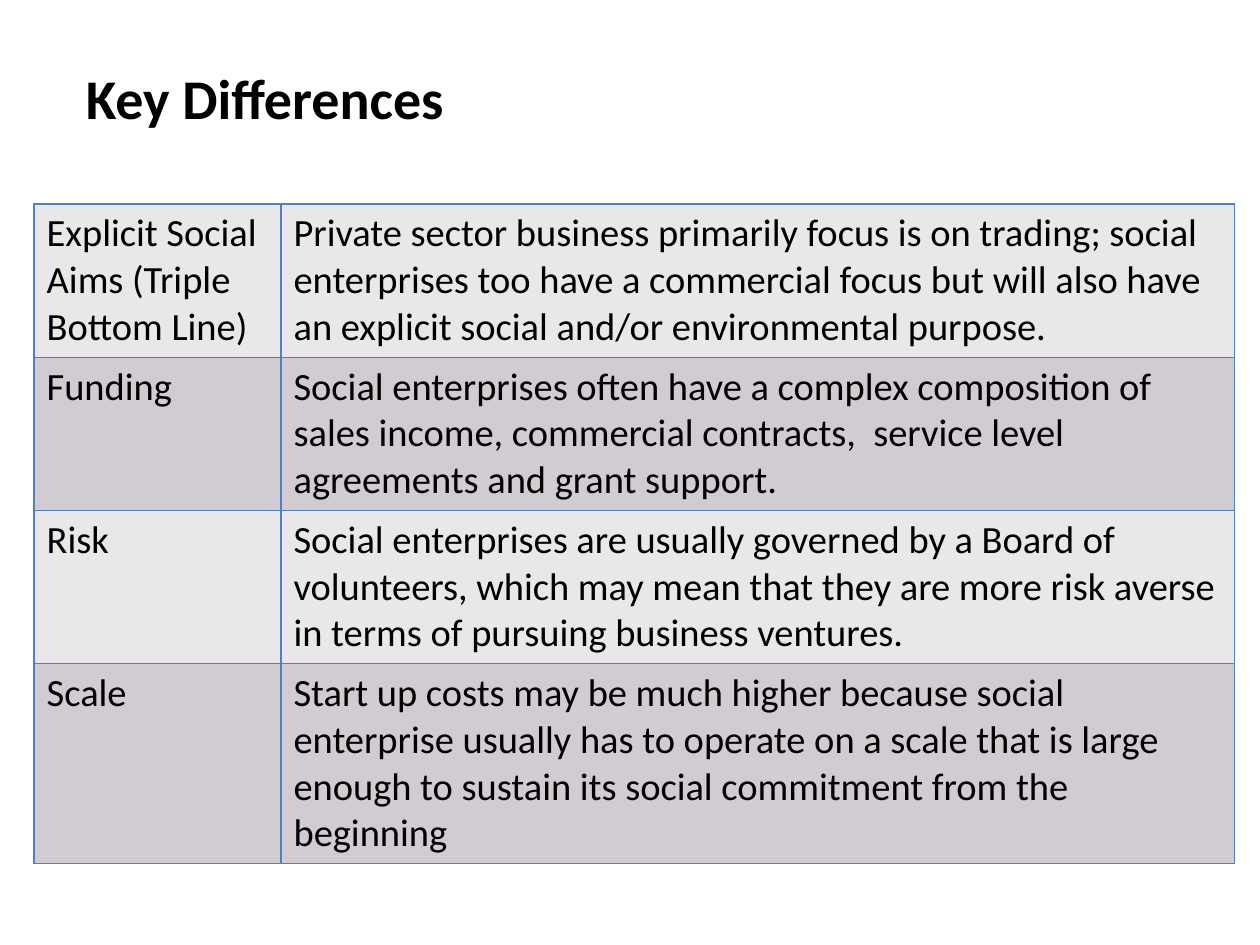
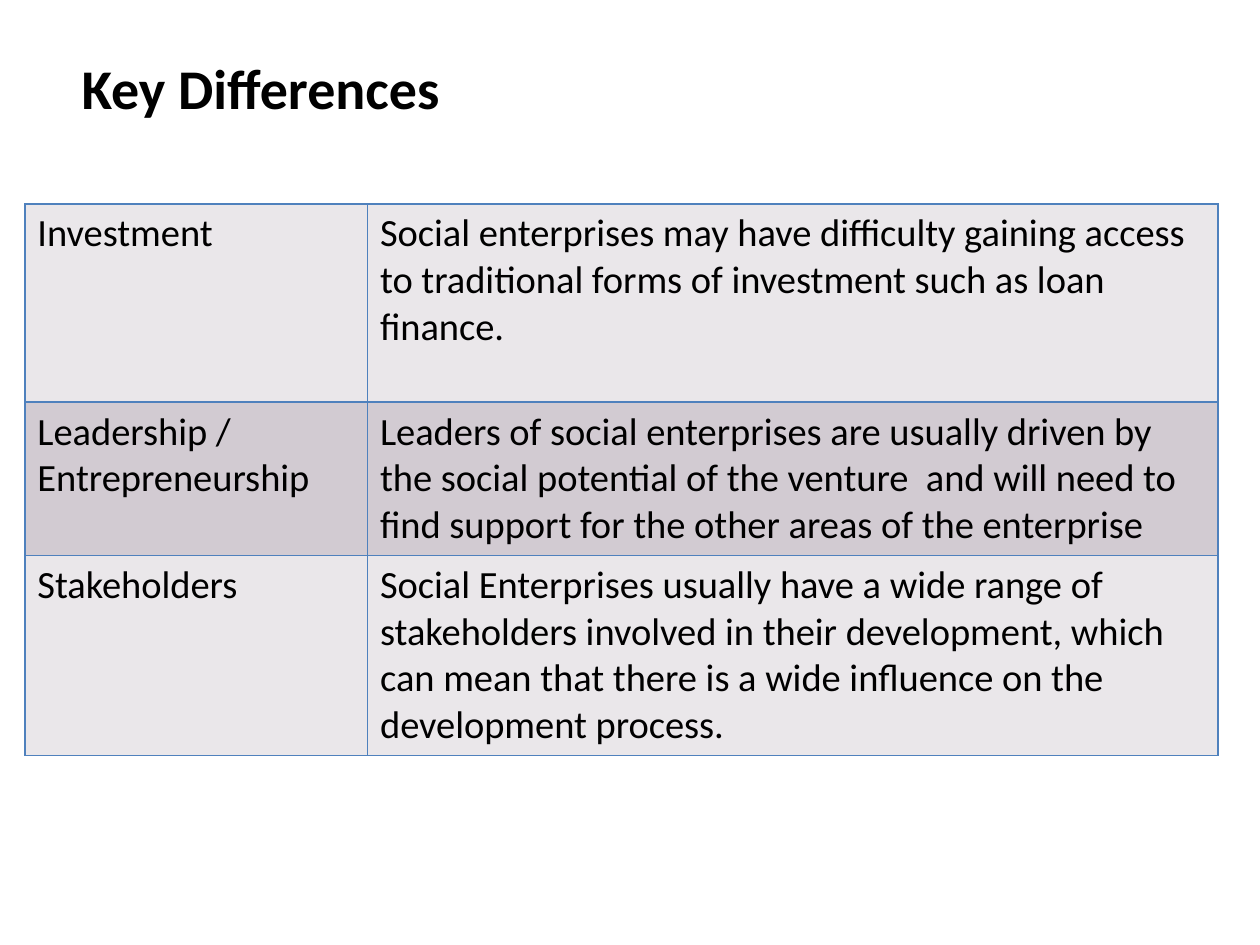
from dataclasses import dataclass

from lxml.etree import SubElement
from pptx import Presentation
from pptx.dml.color import RGBColor
from pptx.enum.text import MSO_ANCHOR, PP_ALIGN
from pptx.oxml.ns import qn
from pptx.presentation import Presentation as Deck
from pptx.slide import Slide
from pptx.table import _Cell as Cell
from pptx.text.text import TextFrame
from pptx.util import Pt

TITLE_ONLY_LAYOUT = 5


@dataclass(frozen=True)
class Theme:
    font: str = "Calibri"
    title_size: float = 32
    body_size: float = 22
    text: str = "000000"
    border: str = "4F81BD"
    border_width: float = 1
    bands: tuple[str, ...] = ("EAE7EA", "D2CBD2")


@dataclass(frozen=True)
class Row:
    topic: str
    difference: str
    lines: int  # text lines the row has room for


@dataclass(frozen=True)
class DifferencesSlide:
    title_left: float
    title_top: float
    table_left: float
    column_widths: tuple[float, float]
    rows: tuple[Row, ...]


THEME = Theme()
TITLE = "Key Differences"
TITLE_WIDTH, TITLE_HEIGHT = 232.5, 46
TABLE_TOP = 116.64
LINE_HEIGHT, CELL_PADDING = 26.8, 6

SLIDES = (
    DifferencesSlide(41.8, 32.4, 19.5, (141.1, 545), (
        Row("Explicit Social Aims (Triple Bottom Line)",
            "Private sector business primarily focus is on trading; social "
            "enterprises too have a commercial focus but will also have an "
            "explicit social and/or environmental purpose.", 3),
        Row("Funding",
            "Social enterprises often have a complex composition of sales "
            "income, commercial contracts,  service level agreements and "
            "grant support.", 3),
        Row("Risk",
            "Social enterprises are usually governed by a Board of "
            "volunteers, which may mean that they are more risk averse in "
            "terms of pursuing business ventures.", 3),
        Row("Scale",
            "Start up costs may be much higher because social enterprise "
            "usually has to operate on a scale that is large enough to "
            "sustain its social commitment from the beginning", 4),
    )),
    DifferencesSlide(39.4, 26.9, 14.2, (195.8, 486), (
        Row("Investment",
            "Social enterprises may have difficulty gaining access to "
            "traditional forms of investment such as loan finance.", 4),
        Row("Leadership / Entrepreneurship",
            "Leaders of social enterprises are usually driven by the social "
            "potential of the venture  and will need to find support for the "
            "other areas of the enterprise", 3),
        Row("Stakeholders",
            "Social Enterprises usually have a wide range of stakeholders "
            "involved in their development, which can mean that there is a "
            "wide influence on the development process.", 4),
    )),
)


def apply_format(target: object, values: dict[str, object]) -> None:
    for name, value in values.items():
        setattr(target, name, value)


def write_text(frame: TextFrame, text: str, size: float, bold: bool = False) -> None:
    frame.text = text
    paragraph = frame.paragraphs[0]
    paragraph.alignment = PP_ALIGN.LEFT
    font = paragraph.runs[0].font
    apply_format(font, {"name": THEME.font, "size": Pt(size), "bold": bold})
    font.color.rgb = RGBColor.from_string(THEME.text)


def add_borders(cell: Cell) -> None:
    properties = cell._tc.get_or_add_tcPr()
    for side in ("lnL", "lnR", "lnT", "lnB"):
        line = SubElement(properties, qn(f"a:{side}"), w=str(Pt(THEME.border_width)))
        fill = SubElement(line, qn("a:solidFill"))
        SubElement(fill, qn("a:srgbClr"), val=THEME.border)


def draw_title(slide: Slide, content: DifferencesSlide) -> None:
    title = slide.shapes.title
    apply_format(title, {
        "left": Pt(content.title_left), "top": Pt(content.title_top),
        "width": Pt(TITLE_WIDTH), "height": Pt(TITLE_HEIGHT),
    })
    apply_format(title.text_frame, {
        "word_wrap": True, "vertical_anchor": MSO_ANCHOR.TOP,
    })
    write_text(title.text_frame, TITLE, THEME.title_size, bold=True)


def draw_table(slide: Slide, content: DifferencesSlide) -> None:
    heights = [row.lines * LINE_HEIGHT + CELL_PADDING for row in content.rows]
    table = slide.shapes.add_table(
        len(content.rows), len(content.column_widths),
        Pt(content.table_left), Pt(TABLE_TOP),
        Pt(sum(content.column_widths)), Pt(sum(heights)),
    ).table
    apply_format(table, {"first_row": False, "horz_banding": False})
    for column, width in zip(table.columns, content.column_widths):
        column.width = Pt(width)

    for index, (row, height) in enumerate(zip(content.rows, heights)):
        table.rows[index].height = Pt(height)
        band = THEME.bands[index % len(THEME.bands)]
        for cell, text in zip(table.rows[index].cells, (row.topic, row.difference)):
            write_text(cell.text_frame, text, THEME.body_size)
            add_borders(cell)
            cell.fill.solid()
            cell.fill.fore_color.rgb = RGBColor.from_string(band)


def build_slide(presentation: Deck, content: DifferencesSlide) -> None:
    layout = presentation.slide_layouts[TITLE_ONLY_LAYOUT]
    slide = presentation.slides.add_slide(layout)
    draw_title(slide, content)
    draw_table(slide, content)


def main() -> None:
    presentation = Presentation()
    apply_format(presentation, {"slide_width": Pt(720), "slide_height": Pt(540)})
    for content in SLIDES:
        build_slide(presentation, content)
    presentation.save("out.pptx")


if __name__ == "__main__":
    main()
